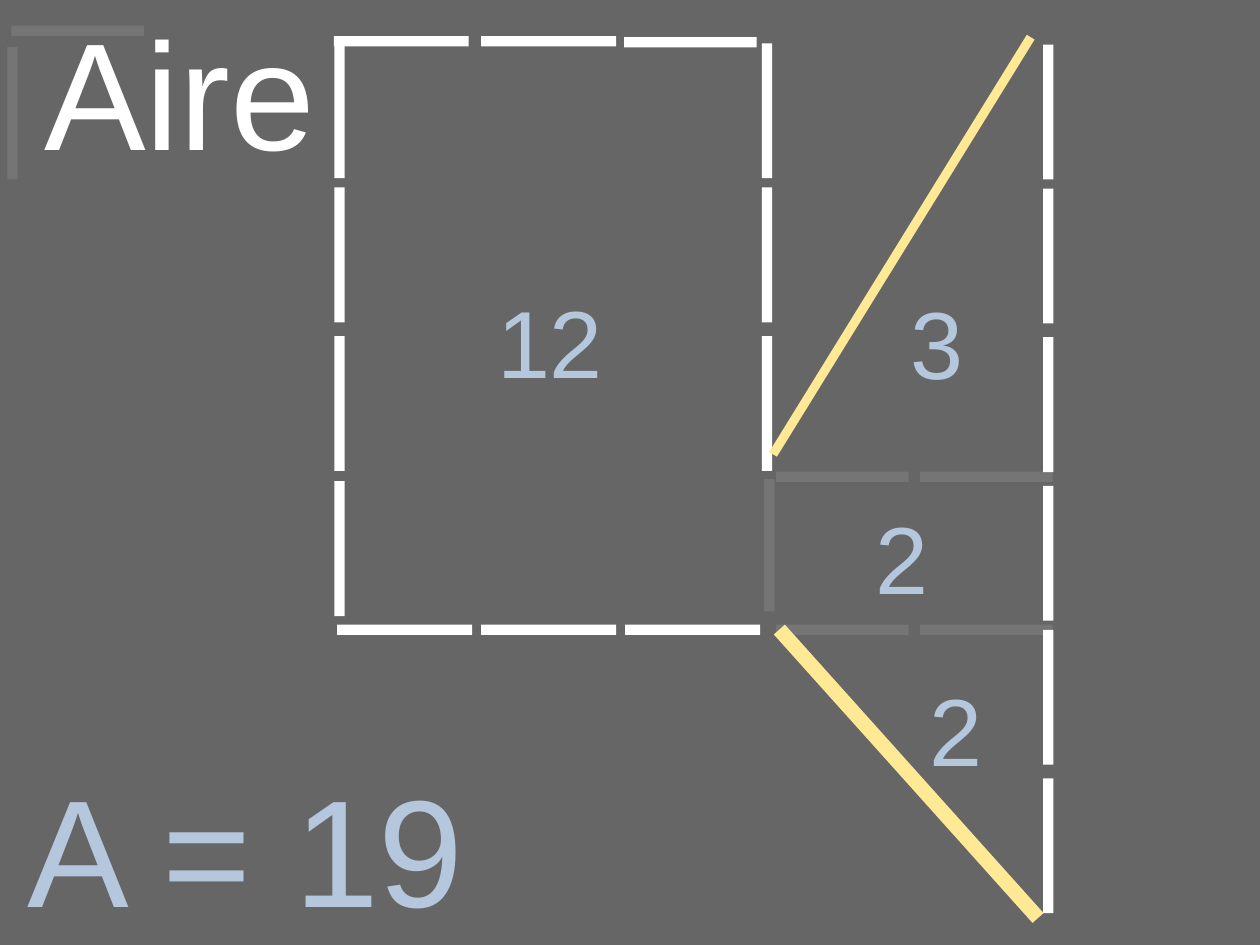
from lxml.etree import SubElement
from pptx import Presentation
from pptx.dml.color import RGBColor
from pptx.enum.shapes import MSO_SHAPE
from pptx.enum.text import MSO_ANCHOR, PP_ALIGN
from pptx.oxml.ns import qn
from pptx.util import Inches, Pt

COLORS = {"board": "666666", "stick": "FFFFFF", "diagonal": "FFE994", "number": "B4C7DC"}
CM_PER_INCH = 2.54
WIDTH, HEIGHT = 28 / CM_PER_INCH, 21 / CM_PER_INCH
STICK, FAINT_STICK, THICK = 1.18, 1.16, 0.09


class Board:
    """Holds the current slide and the style of the figure."""

    def __init__(self, slide):
        self.s = slide

    def bar(self, cx, cy, length, thick, angle=0, color="stick", opacity=None):
        """Rectangle placed by its centre, turned clockwise by angle."""
        sp = self.s.shapes.add_shape(
            MSO_SHAPE.RECTANGLE, Inches(cx - length / 2), Inches(cy - thick / 2),
            Inches(length), Inches(thick))
        sp.rotation = angle
        sp.shadow.inherit = False
        sp.line.fill.background()
        sp.fill.solid()
        sp.fill.fore_color.rgb = RGBColor.from_string(COLORS[color])
        if opacity is not None:
            clr = sp.fill._xPr.find(".//" + qn("a:srgbClr"))
            SubElement(clr, qn("a:alpha"), val=str(opacity * 1000))

    def stick(self, cx, cy, angle=0):
        self.bar(cx, cy, STICK, THICK, angle)

    def faint_stick(self, cx, cy, angle=0):
        self.bar(cx, cy, FAINT_STICK, THICK, angle, opacity=10)

    def text(self, text, x, y, w, h, size, color="number", align=PP_ALIGN.LEFT,
             anchor=MSO_ANCHOR.TOP, inset=(0, 0)):
        tf = self.s.shapes.add_textbox(Inches(x), Inches(y), Inches(w), Inches(h)).text_frame
        dx, dy = (Inches(v) for v in inset)
        frame = {"word_wrap": True, "vertical_anchor": anchor, "margin_left": dx,
                 "margin_right": dx, "margin_top": dy, "margin_bottom": dy}
        for name, value in frame.items():
            setattr(tf, name, value)
        p = tf.paragraphs[0]
        p.alignment = align
        r = p.add_run()
        r.text = text
        for name, value in {"name": "Arial", "size": Pt(size)}.items():
            setattr(r.font, name, value)
        r.font.color.rgb = RGBColor.from_string(COLORS[color])

    def title(self, text, x, y, w, color, align):
        self.text(text, x, y, w, 1.73, 96, color, align, MSO_ANCHOR.MIDDLE)

    def area(self, text, x, y):
        self.text(text, x, y, 1.42, 1.03, 60, inset=(0.1, 0.05))


def main():
    prs = Presentation()
    prs.slide_width, prs.slide_height = Inches(WIDTH), Inches(HEIGHT)
    board = Board(prs.slides.add_slide(prs.slide_layouts[6]))

    board.bar(WIDTH / 2, HEIGHT / 2, WIDTH, HEIGHT, color="board")
    board.title("Aire", 0.16, -0.08, 2.83, "stick", PP_ALIGN.CENTER)

    # Unit square in the corner
    board.faint_stick(0.11, 0.99, 90)
    board.faint_stick(0.68, 0.27)

    # Outline: left, middle and right sides, then top and bottom
    columns = {2.97: (0.97, 2.23, 3.53, 4.8), 6.71: (0.97, 2.23, 3.53),
               9.17: (0.98, 2.24, 3.54, 4.84, 6.1, 7.4)}
    for x, centres in columns.items():
        for y in centres:
            board.stick(x, y, 90)
    for x, y in ((3.51, 0.36), (4.8, 0.36), (3.54, 5.51), (4.8, 5.51), (6.06, 5.51)):
        board.stick(x, y)
    board.bar(6.04, 0.37, FAINT_STICK, THICK)

    # Inner divisions and slanted sides
    board.faint_stick(6.73, 4.77, 90)
    board.bar(7.89, 2.15, 4.29, 0.08, 121.7, "diagonal")
    for y in (4.17, 5.51):
        for x in (7.37, 8.63):
            board.faint_stick(x, y)
    board.bar(7.95, 6.77, 3.39, 0.13, 48.1, "diagonal")

    for value, x, y in (("12", 4.25, 2.43), ("2", 7.56, 4.32),
                        ("2", 8.03, 5.82), ("3", 7.87, 2.44)):
        board.area(value, x, y)
    board.title("A = 19", 0.24, 6.54, 6.31, "number", PP_ALIGN.LEFT)

    prs.save("out.pptx")


if __name__ == "__main__":
    main()
